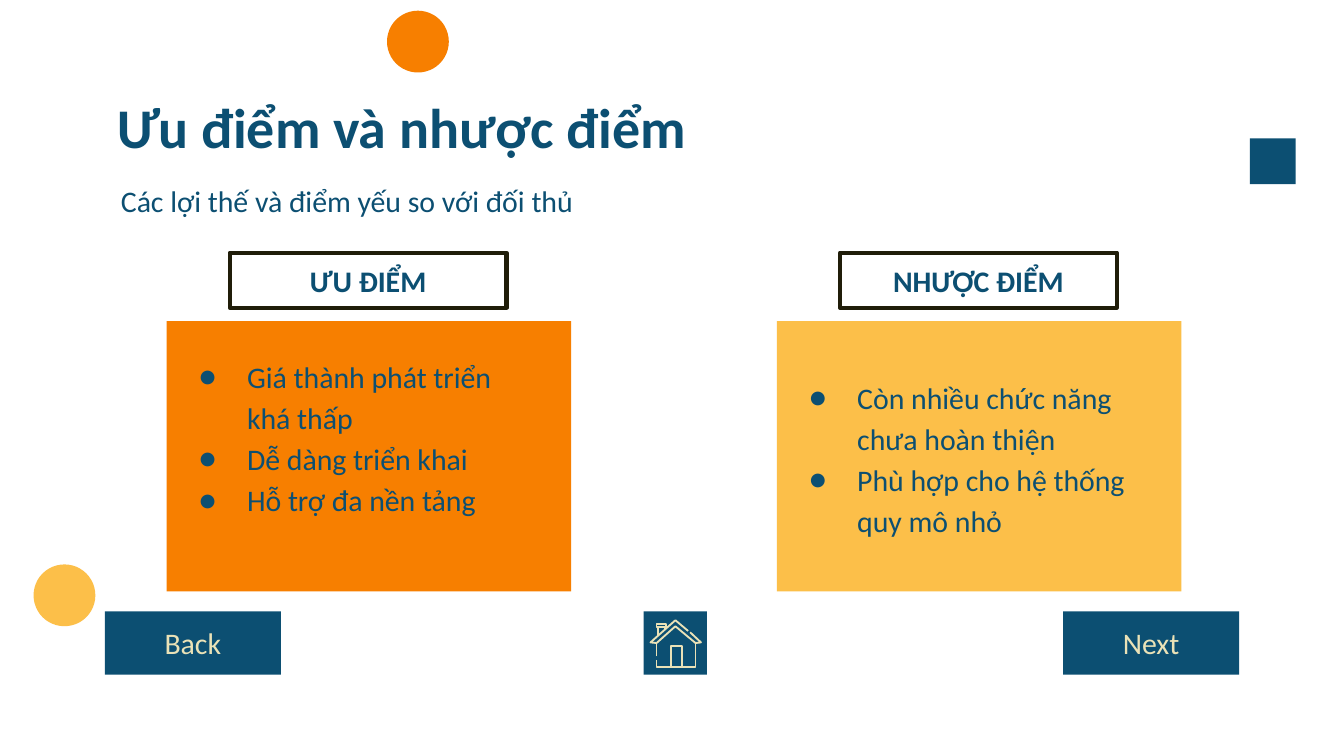
"""Build a slide that sets strengths beside weaknesses, with navigation buttons."""
from copy import deepcopy
from lxml import etree
from pptx import Presentation, util as u
from pptx.dml.color import RGBColor
from pptx.enum import shapes, text
from pptx.oxml.ns import qn

HUES = {"navy": "0C4F72", "orange": "F77F00", "yellow": "FCBF49",
        "cream": "EAE2B7", "ink": "201D09"}
FONT = "Calibri"
TITLE = "Ưu điểm và nhược điểm"
LEAD = "Các lợi thế và điểm yếu so với đối thủ"
SIDES = [
    {"head": "ƯU ĐIỂM", "hue": "orange", "low": 0.41,
     "items": ["Giá thành phát triển\nkhá thấp", "Dễ dàng triển khai",
               "Hỗ trợ đa nền tảng"]},
    {"head": "NHƯỢC ĐIỂM", "hue": "yellow", "low": 0.1,
     "items": ["Còn nhiều chức năng chưa hoàn thiện",
               "Phù hợp cho hệ thống quy mô nhỏ"]},
]
DECOR = [("RECTANGLE", "navy", 9.3, 1.03, 0.34),
         ("OVAL", "orange", 2.88, 0.08, 0.46),
         ("OVAL", "yellow", 0.25, 4.2, 0.46)]
BUTTONS = [("Back", 0.78, 1.31), ("", 4.79, 0.47), ("Next", 7.91, 1.31)]
HOUSE = [
    [(5120, 4695), (5025, 4615), (4840, 4780), (4885, 4785), (5025, 4660),
     (5175, 4785), (5215, 4780), (5135, 4705)],
    [(4885, 4885), (4885, 4785)],
    [(4885, 4910), (4885, 4965), (5175, 4965), (5175, 4785)],
    [(4990, 4965), (4990, 4810), (5075, 4810), (5075, 4965)],
    [(4895, 4735), (4895, 4665), (4885, 4665), (4885, 4645), (4955, 4645),
     (4955, 4665), (4895, 4665)],
    [(4945, 4665), (4945, 4690)],
]
LEFT, STEP, WIDE = 1.24, 4.54, 3.01


def color(name):
    return RGBColor.from_string(HUES[name])


def paint(shape, fill=None, line=None, width=1):
    shape.shadow.inherit = False
    if fill:
        shape.fill.solid()
        shape.fill.fore_color.rgb = color(fill)
    else:
        shape.fill.background()
    if line:
        shape.line.color.rgb = color(line)
        shape.line.width = u.Pt(width)
        etree.SubElement(shape.line._ln, qn("a:round"))
    else:
        shape.line.fill.background()
    return shape


def block(slide, box, kind="RECTANGLE", **look):
    shape = slide.shapes.add_shape(
        shapes.MSO_SHAPE[kind], *map(u.Inches, box))
    return paint(shape, **look)


def write(shape, lines, size=16, hue="navy", bold=False, align="LEFT",
          anchor="MIDDLE", inset=(0.1, 0.1, 0.1, 0.1), bullet=False):
    frame = shape.text_frame
    frame.word_wrap = True
    frame.vertical_anchor = text.MSO_ANCHOR[anchor]
    (frame.margin_left, frame.margin_top,
     frame.margin_right, frame.margin_bottom) = map(u.Inches, inset)
    for at, line in enumerate(lines):
        para = frame.add_paragraph() if at else frame.paragraphs[0]
        para.text = line
        para.alignment = text.PP_ALIGN[align]
        if bullet:
            mark(para)
        for run in para.runs:
            font = run.font
            font.name, font.size, font.bold = FONT, u.Pt(size), bold
            font.color.rgb = color(hue)
        for gap in para._p.findall(qn("a:br")):
            gap.insert(0, deepcopy(para.runs[0]._r.rPr))


def mark(para):
    para.line_spacing = 1.15
    props = para._p.get_or_add_pPr()
    props.set("marL", str(u.Inches(0.5)))
    props.set("indent", str(u.Inches(-0.36)))
    tint = etree.SubElement(props, qn("a:buClr"))
    etree.SubElement(tint, qn("a:srgbClr"), val=HUES["navy"])
    etree.SubElement(props, qn("a:buFont"), typeface=FONT)
    etree.SubElement(props, qn("a:buChar"), char="●")


def house(slide):
    first, *rest = HOUSE
    pen = slide.shapes.build_freeform(*first[0], scale=u.Inches(1) / 1000)
    pen.add_line_segments(first[1:], close=False)
    for path in rest:
        pen.move_to(*path[0])
        pen.add_line_segments(path[1:], close=False)
    paint(pen.convert_to_shape(), line="cream")


def main():
    deck = Presentation()
    deck.slide_width = u.Inches(10)
    deck.slide_height = deck.slide_width * 9 // 16
    slide = deck.slides.add_slide(deck.slide_layouts[6])
    for kind, hue, x, y, size in DECOR:
        block(slide, (x, y, size, size), kind, fill=hue)
    title, lead = (
        slide.shapes.add_textbox(*map(u.Inches, (0.78, y, 8.44, high)))
        for y, high in ((0.59, 0.63), (1.22, 0.54)))
    write(title, [TITLE], size=30, bold=True, anchor="TOP")
    write(lead, [LEAD], inset=(0.12, 0.1, 0.1, 0.1))
    for at, side in enumerate(SIDES):
        x = LEFT + at * STEP
        head = block(slide, (x + 0.47, 1.88, 2.06, 0.41),
                     line="ink", width=2.25)
        write(head, [side["head"]], bold=True, align="CENTER")
        body = block(slide, (x, 2.39, WIDE, 2.01), fill=side["hue"])
        write(body, side["items"], bullet=True,
              inset=(0.1, 0.1, 0.1, side["low"]))
    for label, x, wide in BUTTONS:
        key = block(slide, (x, 4.55, wide, 0.47), fill="navy")
        if label:
            write(key, [label], hue="cream", align="CENTER")
    house(slide)
    deck.save("out.pptx")


if __name__ == "__main__":
    main()
